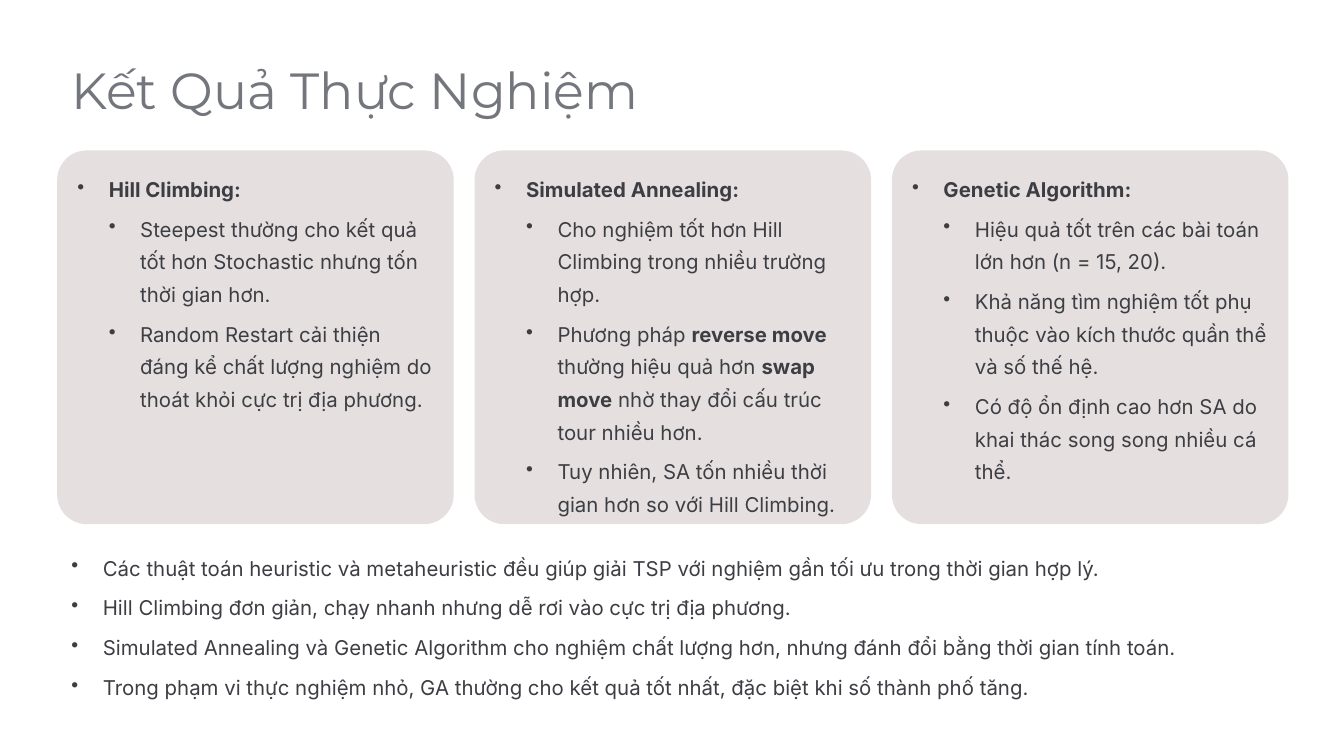
from lxml.etree import SubElement
from pptx import Presentation
from pptx.dml.color import RGBColor
from pptx.enum.shapes import MSO_SHAPE
from pptx.oxml.ns import qn
from pptx.util import Cm, Pt

COLORS = {"title": "74767D", "body": "3D3E44", "card": "E5E0DF"}

CARD_LEFT, CARD_TOP, CARD_PITCH = 1.73, 4.55, 12.62
CARD_WIDTH, CARD_HEIGHT = 11.99, 11.3
CARD_PADDING_X, CARD_PADDING_Y = 0.61, 0.56
INDENT = 0.95

# Each card: heading, then items made of (text, bold) runs
CARDS = [
    ("Hill Climbing:", [
        [("Steepest thường cho kết quả tốt hơn Stochastic nhưng tốn thời gian hơn.", False)],
        [("Random Restart cải thiện đáng kể chất lượng nghiệm do thoát khỏi cực trị địa phương.", False)],
    ]),
    ("Simulated Annealing:", [
        [("Cho nghiệm tốt hơn Hill Climbing trong nhiều trường hợp.", False)],
        [("Phương pháp ", False), ("reverse move", True), (" thường hiệu quả hơn ", False),
         ("swap move", True), (" nhờ thay đổi cấu trúc tour nhiều hơn.", False)],
        [("Tuy nhiên, SA tốn nhiều thời gian hơn so với Hill Climbing.", False)],
    ]),
    ("Genetic Algorithm:", [
        [("Hiệu quả tốt trên các bài toán lớn hơn (n = 15, 20).", False)],
        [("Khả năng tìm nghiệm tốt phụ thuộc vào kích thước quần thể và số thế hệ.", False)],
        [("Có độ ổn định cao hơn SA do khai thác song song nhiều cá thể.", False)],
    ]),
]

CONCLUSIONS = [
    "Các thuật toán heuristic và metaheuristic đều giúp giải TSP với nghiệm gần tối ưu trong thời gian hợp lý.",
    "Hill Climbing đơn giản, chạy nhanh nhưng dễ rơi vào cực trị địa phương.",
    "Simulated Annealing và Genetic Algorithm cho nghiệm chất lượng hơn, nhưng đánh đổi bằng thời gian tính toán.",
    "Trong phạm vi thực nghiệm nhỏ, GA thường cho kết quả tốt nhất, đặc biệt khi số thành phố tăng.",
]


class SlideBuilder:
    """Holds the text style and the slide being built."""

    def __init__(self, slide):
        self.slide = slide
        self.heading_font, self.body_font = "Montserrat", "Inter"
        self.title_size, self.body_size = Pt(43.5), Pt(17.5)
        self.title_leading, self.body_leading = Pt(54.5), Pt(28)
        self.item_gap = Pt(6)

    def text_frame(self, left, top, width, height):
        box = self.slide.shapes.add_textbox(Cm(left), Cm(top), Cm(width), Cm(height))
        frame = box.text_frame
        frame.word_wrap = True
        frame.margin_left = frame.margin_top = frame.margin_right = frame.margin_bottom = 0
        return frame

    def run(self, paragraph, text, font, size, color, bold=False):
        run = paragraph.add_run()
        run.text = text
        run.font.name, run.font.size, run.font.bold = font, size, bold
        run.font.color.rgb = RGBColor.from_string(COLORS[color])

    def title(self, text, left, top, width, height):
        paragraph = self.text_frame(left, top, width, height).paragraphs[0]
        paragraph.line_spacing = self.title_leading
        self.run(paragraph, text, self.heading_font, self.title_size, "title")

    def card(self, left, top, width, height):
        shape = self.slide.shapes.add_shape(
            MSO_SHAPE.ROUNDED_RECTANGLE, Cm(left), Cm(top), Cm(width), Cm(height))
        shape.adjustments[0] = 0.079
        shape.shadow.inherit = False
        shape.fill.solid()
        shape.fill.fore_color.rgb = RGBColor.from_string(COLORS["card"])
        shape.line.fill.background()

    def bullet_list(self, items, left, top, width, height):
        """Items are (level, runs) pairs; each run is (text, bold)."""
        frame = self.text_frame(left, top, width, height)
        for index, (level, runs) in enumerate(items):
            paragraph = frame.paragraphs[0] if index == 0 else frame.add_paragraph()
            properties = paragraph._p.get_or_add_pPr()
            properties.set("marL", str(Cm(INDENT * (level + 1))))
            properties.set("indent", str(-Cm(INDENT)))
            SubElement(properties, qn("a:buChar")).set("char", "•")
            paragraph.level = level
            paragraph.line_spacing = self.body_leading
            if index:
                paragraph.space_before = self.item_gap
            for text, bold in runs:
                self.run(paragraph, text, self.body_font, self.body_size, "body", bold)


def main():
    presentation = Presentation()
    presentation.slide_width, presentation.slide_height = Cm(40.64), Cm(22.86)
    builder = SlideBuilder(presentation.slides.add_slide(presentation.slide_layouts[6]))

    builder.title("Kết Quả Thực Nghiệm", 2.16, 1.7, 17.42, 1.93)
    for column, (heading, points) in enumerate(CARDS):
        left = CARD_LEFT + column * CARD_PITCH
        builder.card(left, CARD_TOP, CARD_WIDTH, CARD_HEIGHT)
        items = [(0, [(heading, True)])] + [(1, runs) for runs in points]
        builder.bullet_list(items, left + CARD_PADDING_X, CARD_TOP + CARD_PADDING_Y,
                            10.74, CARD_HEIGHT - CARD_PADDING_Y)
    builder.bullet_list([(0, [(text, False)]) for text in CONCLUSIONS], 2.16, 16.56, 36.32, 4.6)
    presentation.save("out.pptx")


if __name__ == "__main__":
    main()
